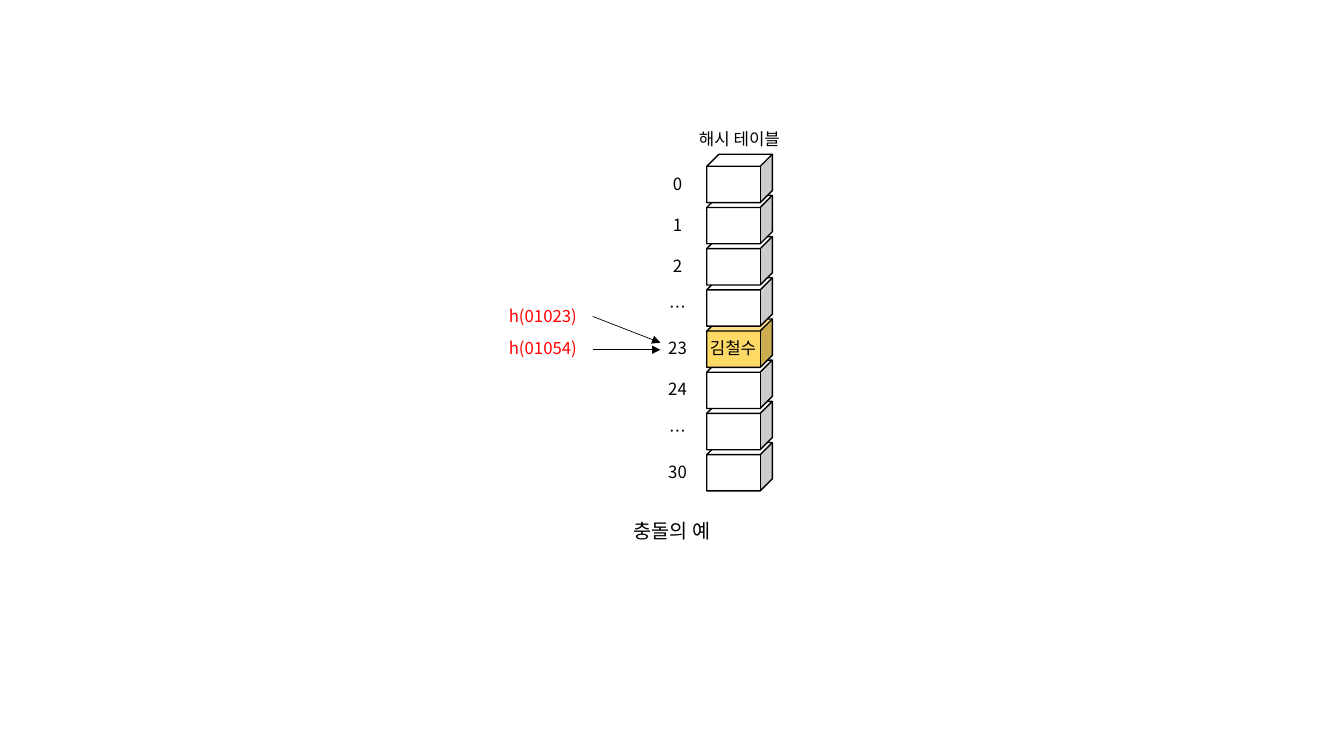
from dataclasses import dataclass

from lxml.etree import SubElement
from pptx import Presentation
from pptx.dml.color import RGBColor
from pptx.enum.shapes import MSO_CONNECTOR, MSO_SHAPE
from pptx.enum.text import MSO_ANCHOR, MSO_AUTO_SIZE, PP_ALIGN
from pptx.oxml.ns import qn
from pptx.util import Inches, Pt


@dataclass(frozen=True)
class Theme:
    font: str = "Noto Sans CJK KR"
    ink: str = "000000"
    paper: str = "FFFFFF"
    red: str = "FF0000"
    gold: str = "FFD966"
    small: int = 12
    large: int = 14
    edge: float = 1
    thin: float = 0.5


@dataclass(frozen=True)
class Grid:
    """Rows of the hash table, in inches."""
    left: float = 7.01
    top: float = 1.53
    pitch: float = 2.86 / 7
    inset: float = 0.14

    def row(self, index):
        return self.top + index * self.pitch

    def text(self, index):
        return self.row(index) + self.inset


class Board:
    """Holds the theme and the slide being drawn."""

    def __init__(self, slide, theme):
        self.slide = slide
        self.theme = theme

    def cube(self, left, top, fill):
        box = self.slide.shapes.add_shape(
            MSO_SHAPE.CUBE, Inches(left), Inches(top), Inches(0.65), Inches(0.48))
        box.shadow.inherit = False
        box.fill.solid()
        box.fill.fore_color.rgb = RGBColor.from_string(fill)
        box.line.color.rgb = RGBColor.from_string(self.theme.ink)
        box.line.width = Pt(self.theme.edge)

    def style(self, frame, text, size, color):
        """Fill a text frame with one centred, styled line."""
        frame.word_wrap = True
        frame.auto_size = MSO_AUTO_SIZE.NONE
        frame.vertical_anchor = MSO_ANCHOR.TOP
        frame.text = text
        line = frame.paragraphs[0]
        line.alignment = PP_ALIGN.CENTER
        font = line.runs[0].font
        font.size = Pt(size)
        font.color.rgb = RGBColor.from_string(color)
        font.name = self.theme.font
        props = line.runs[0]._r.get_or_add_rPr()
        SubElement(props, qn("a:ea")).set("typeface", self.theme.font)

    def label(self, text, left, top, width, color=None):
        box = self.slide.shapes.add_textbox(
            Inches(left), Inches(top), Inches(width), Inches(0.3))
        self.style(box.text_frame, text, self.theme.small, color or self.theme.ink)

    def title(self, text, left, top, width, height):
        box = self.slide.shapes.title
        box.left, box.top = Inches(left), Inches(top)
        box.width, box.height = Inches(width), Inches(height)
        self.style(box.text_frame, text, self.theme.large, self.theme.ink)

    def arrow(self, start, end):
        link = self.slide.shapes.add_connector(
            MSO_CONNECTOR.STRAIGHT, *map(Inches, start + end))
        link.line.color.rgb = RGBColor.from_string(self.theme.ink)
        link.line.width = Pt(self.theme.thin)
        props = link._element.spPr
        SubElement(props.get_or_add_ln(), qn("a:tailEnd")).set("type", "triangle")
        SubElement(props, qn("a:effectLst"))


def main():
    deck = Presentation()
    deck.slide_width, deck.slide_height = Inches(13.33), Inches(7.5)
    theme, grid = Theme(), Grid()
    board = Board(deck.slides.add_slide(deck.slide_layouts[5]), theme)

    slots = ["0", "1", "2", "…", "23", "24", "…", "30"]
    hit = slots.index("23")

    # Lower cubes go first, so that each one covers the top of the next.
    for index in reversed(range(len(slots))):
        fill = theme.gold if index == hit else theme.paper
        board.cube(grid.left, grid.row(index), fill)
    for index, slot in enumerate(slots):
        board.label(slot, 6.43, grid.text(index), 0.58)

    board.label("해시 테이블", 6.32, 1.23, 2.03)
    board.label("김철수", 6.88, grid.text(hit), 0.78)
    board.title("충돌의 예", 5.65, 5.1, 2.03, 0.34)

    calls = [("h(01023)", 2.98, 3.14, 3.4), ("h(01054)", 3.3, 3.47, 3.47)]
    for text, top, start, end in calls:
        board.label(text, 4.67, top, 1.43, theme.red)
        board.arrow((5.88, start), (6.55, end))

    deck.save("out.pptx")


if __name__ == "__main__":
    main()
